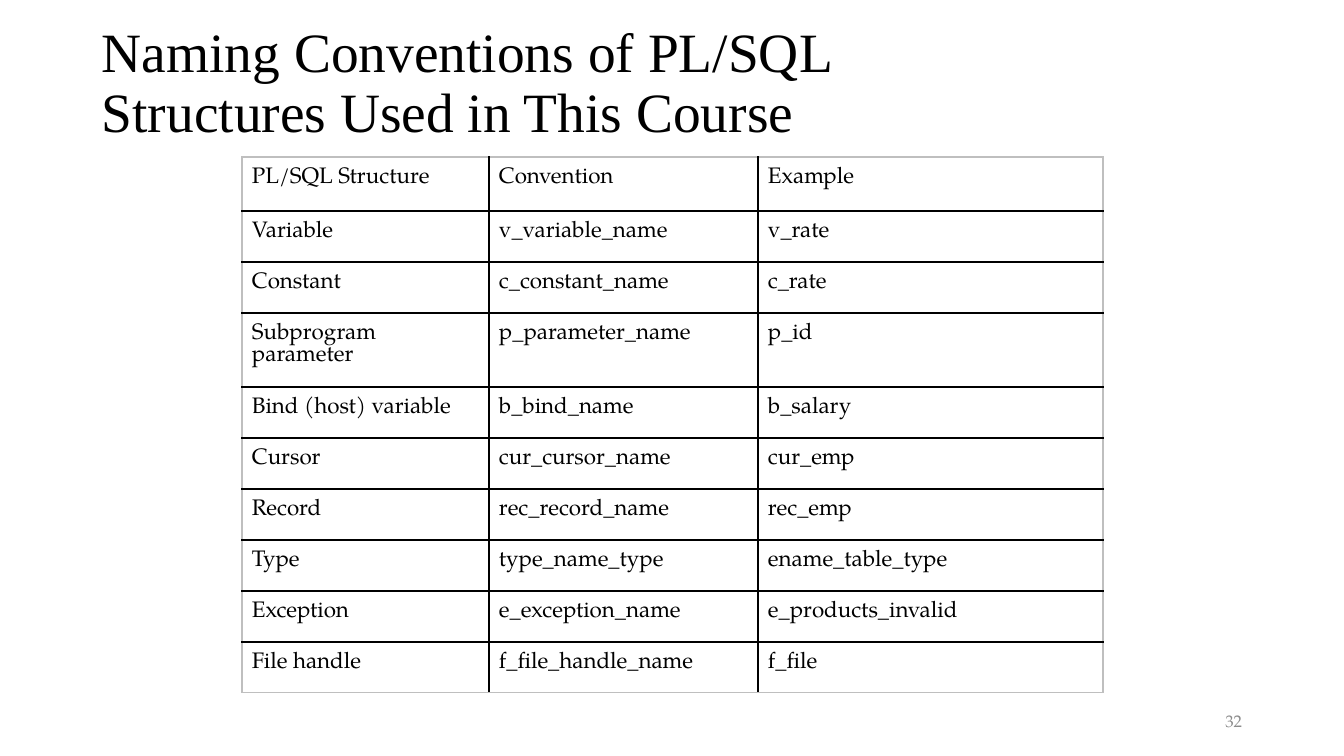
from lxml.etree import SubElement
from pptx import Presentation
from pptx.dml.color import RGBColor
from pptx.enum.text import MSO_ANCHOR as Anchor, PP_ALIGN as Align
from pptx.oxml.ns import qn
from pptx.util import Emu, Pt

SLIDE_WIDTH, SLIDE_HEIGHT = 1344, 756
EMU_PER_PX = 12192000 / SLIDE_WIDTH
COLORS = {"text": "000000", "number": "8C8C8C", "grid": "000000", "frame": "BFBFBF"}
TITLE_FONT, BODY_FONT = "Times New Roman", "TeX Gyre Pagella"

COLUMN_WIDTHS = [247, 269, 345]
HEADER_HEIGHT, ROW_HEIGHT, TWO_LINE_HEIGHT = 54, 51, 74
CONVENTIONS = [
    ("PL/SQL Structure", "Convention", "Example"),
    ("Variable", "v_variable_name", "v_rate"),
    ("Constant", "c_constant_name", "c_rate"),
    ("Subprogram parameter", "p_parameter_name", "p_id"),
    ("Bind (host) variable", "b_bind_name", "b_salary"),
    ("Cursor", "cur_cursor_name", "cur_emp"),
    ("Record", "rec_record_name", "rec_emp"),
    ("Type", "type_name_type", "ename_table_type"),
    ("Exception", "e_exception_name", "e_products_invalid"),
    ("File handle", "f_file_handle_name", "f_file"),
]


def px(length):
    """Convert whole pixels to EMU."""
    return Emu(round(length * EMU_PER_PX))


def write_text(frame, text, *, size=16, font=BODY_FONT, color="text",
               align=Align.LEFT, spacing=None):
    """Fill a text frame with one formatted paragraph."""
    frame.word_wrap = True
    paragraph = frame.paragraphs[0]
    paragraph.text = text
    paragraph.alignment = align
    if spacing:
        paragraph.line_spacing = spacing
    for run in paragraph.runs:
        run.font.size = Pt(size)
        run.font.name = font
        run.font.color.rgb = RGBColor.from_string(COLORS[color])


def add_label(slide, text, left, top, width, height, **text_format):
    """Add a vertically centred text box."""
    box = slide.shapes.add_textbox(px(left), px(top), px(width), px(height))
    box.text_frame.vertical_anchor = Anchor.MIDDLE
    write_text(box.text_frame, text, **text_format)


def set_borders(cell, side_colors):
    """Draw a one-point line on each side of a cell."""
    properties = cell._tc.get_or_add_tcPr()
    for index, (side, color) in enumerate(side_colors.items()):
        line = properties.makeelement(qn(f"a:ln{side}"), {"w": str(Pt(1))})
        fill = SubElement(line, qn("a:solidFill"))
        SubElement(fill, qn("a:srgbClr"), val=COLORS[color])
        properties.insert(index, line)


def add_grid_table(slide, rows, left, top):
    """Add a plain table with a light frame and dark inner lines."""
    heights = [HEADER_HEIGHT] + [
        TWO_LINE_HEIGHT if row[0] == "Subprogram parameter" else ROW_HEIGHT
        for row in rows[1:]
    ]
    last_row, last_column = len(rows) - 1, len(COLUMN_WIDTHS) - 1
    table = slide.shapes.add_table(
        len(rows), len(COLUMN_WIDTHS), px(left), px(top),
        px(sum(COLUMN_WIDTHS)), px(sum(heights))).table
    table.first_row = table.horz_banding = False
    for column, width in zip(table.columns, COLUMN_WIDTHS):
        column.width = px(width)
    for row_index, (row, height) in enumerate(zip(rows, heights)):
        table.rows[row_index].height = px(height)
        for column_index, text in enumerate(row):
            cell = table.cell(row_index, column_index)
            cell.margin_left = cell.margin_right = px(10)
            cell.margin_top = cell.margin_bottom = px(10)
            cell.fill.background()
            write_text(cell.text_frame, text)
            edges = {"L": column_index == 0, "R": column_index == last_column,
                     "T": row_index == 0, "B": row_index == last_row}
            set_borders(cell, {side: "frame" if outer else "grid"
                               for side, outer in edges.items()})


def main():
    """Build the naming conventions slide."""
    presentation = Presentation()
    presentation.slide_width = px(SLIDE_WIDTH)
    presentation.slide_height = px(SLIDE_HEIGHT)
    slide = presentation.slides.add_slide(presentation.slide_layouts[6])
    add_label(slide, "Naming Conventions of PL/SQL\vStructures Used in This Course",
              92, 40, 1160, 89, size=39.6, font=TITLE_FONT, spacing=0.9)
    add_grid_table(slide, CONVENTIONS, 242, 157)
    add_label(slide, "32", 950, 701, 302, 40, size=12, color="number",
              align=Align.RIGHT)
    presentation.save("out.pptx")


if __name__ == "__main__":
    main()
